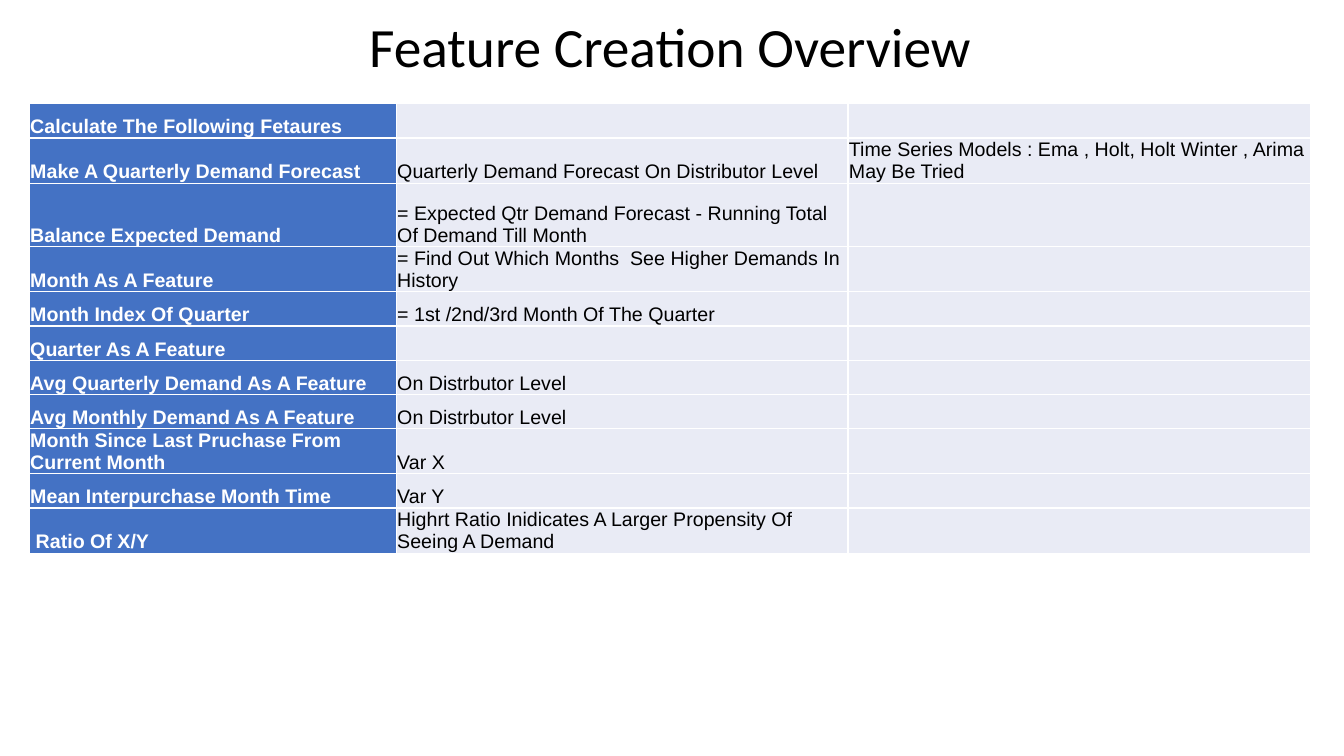
from lxml.etree import SubElement
from pptx import Presentation
from pptx.dml.color import RGBColor
from pptx.enum.text import MSO_ANCHOR as Anchor, PP_ALIGN as Align
from pptx.oxml.ns import qn
from pptx.util import Inches, Pt

COLORS = {"header": "4472C4", "body": "E9EBF5", "light": "FFFFFF", "dark": "000000"}
COLUMN_WIDTHS = [3.64, 4.48, 4.59]
ROW_HEIGHT = 0.34
TALL_ROW, TALL_HEIGHT = 2, 0.63
FEATURES = [
    ("Calculate The Following Fetaures", "", ""),
    ("Make A Quarterly Demand Forecast", "Quarterly Demand Forecast On Distributor Level",
     "Time Series Models : Ema , Holt, Holt Winter , Arima May Be Tried"),
    ("Balance Expected Demand",
     "= Expected Qtr Demand Forecast - Running Total Of Demand Till Month", ""),
    ("Month As A Feature", "= Find Out Which Months  See Higher Demands In History", ""),
    ("Month Index Of Quarter", "= 1st /2nd/3rd Month Of The Quarter", ""),
    ("Quarter As A Feature", "", ""),
    ("Avg Quarterly Demand As A Feature", "On Distrbutor Level", ""),
    ("Avg Monthly Demand As A Feature", "On Distrbutor Level", ""),
    ("Month Since Last Pruchase From Current Month", "Var X", ""),
    ("Mean Interpurchase Month Time", "Var Y", ""),
    (" Ratio Of X/Y", "Highrt Ratio Inidicates A Larger Propensity Of Seeing A Demand", ""),
]


def style_text(paragraph, font_name, size, color, bold=False):
    for run in paragraph.runs:
        run.font.name = font_name
        run.font.size = Pt(size)
        run.font.bold = bold
        run.font.color.rgb = RGBColor.from_string(COLORS[color])


def add_borders(cell):
    properties = cell._tc.get_or_add_tcPr()
    for side in ("lnL", "lnR", "lnT", "lnB"):
        line = SubElement(properties, qn(f"a:{side}"), w=str(Pt(1)))
        fill = SubElement(line, qn("a:solidFill"))
        SubElement(fill, qn("a:srgbClr"), val=COLORS["light"])


presentation = Presentation()
presentation.slide_width = Inches(13.33)
presentation.slide_height = Inches(7.5)
slide = presentation.slides.add_slide(presentation.slide_layouts[6])

row_heights = [ROW_HEIGHT] * len(FEATURES)
row_heights[TALL_ROW] = TALL_HEIGHT
table = slide.shapes.add_table(
    len(FEATURES), len(COLUMN_WIDTHS), Inches(0.29), Inches(1.03),
    Inches(sum(COLUMN_WIDTHS)), Inches(sum(row_heights))).table
for column, width in zip(table.columns, COLUMN_WIDTHS):
    column.width = Inches(width)

for row, height, texts in zip(table.rows, row_heights, FEATURES):
    row.height = Inches(height)
    for column_index, (cell, text) in enumerate(zip(row.cells, texts)):
        is_header = column_index == 0
        cell.margin_left = cell.margin_right = cell.margin_top = Inches(0.01)
        cell.margin_bottom = 0
        cell.vertical_anchor = Anchor.BOTTOM
        add_borders(cell)
        cell.fill.solid()
        cell.fill.fore_color.rgb = RGBColor.from_string(COLORS["header" if is_header else "body"])
        if text:
            cell.text_frame.text = text
            style_text(cell.text_frame.paragraphs[0], "Arial", 14,
                       "light" if is_header else "dark", is_header)

title = slide.shapes.add_textbox(Inches(0.5), Inches(0.19), Inches(12.29), Inches(0.6))
title.text_frame.word_wrap = True
title.text_frame.vertical_anchor = Anchor.MIDDLE
title.text_frame.text = "Feature Creation Overview"
heading = title.text_frame.paragraphs[0]
heading.alignment = Align.CENTER
heading.line_spacing = 0.9
style_text(heading, "Calibri", 39.6, "dark")

presentation.save("out.pptx")
